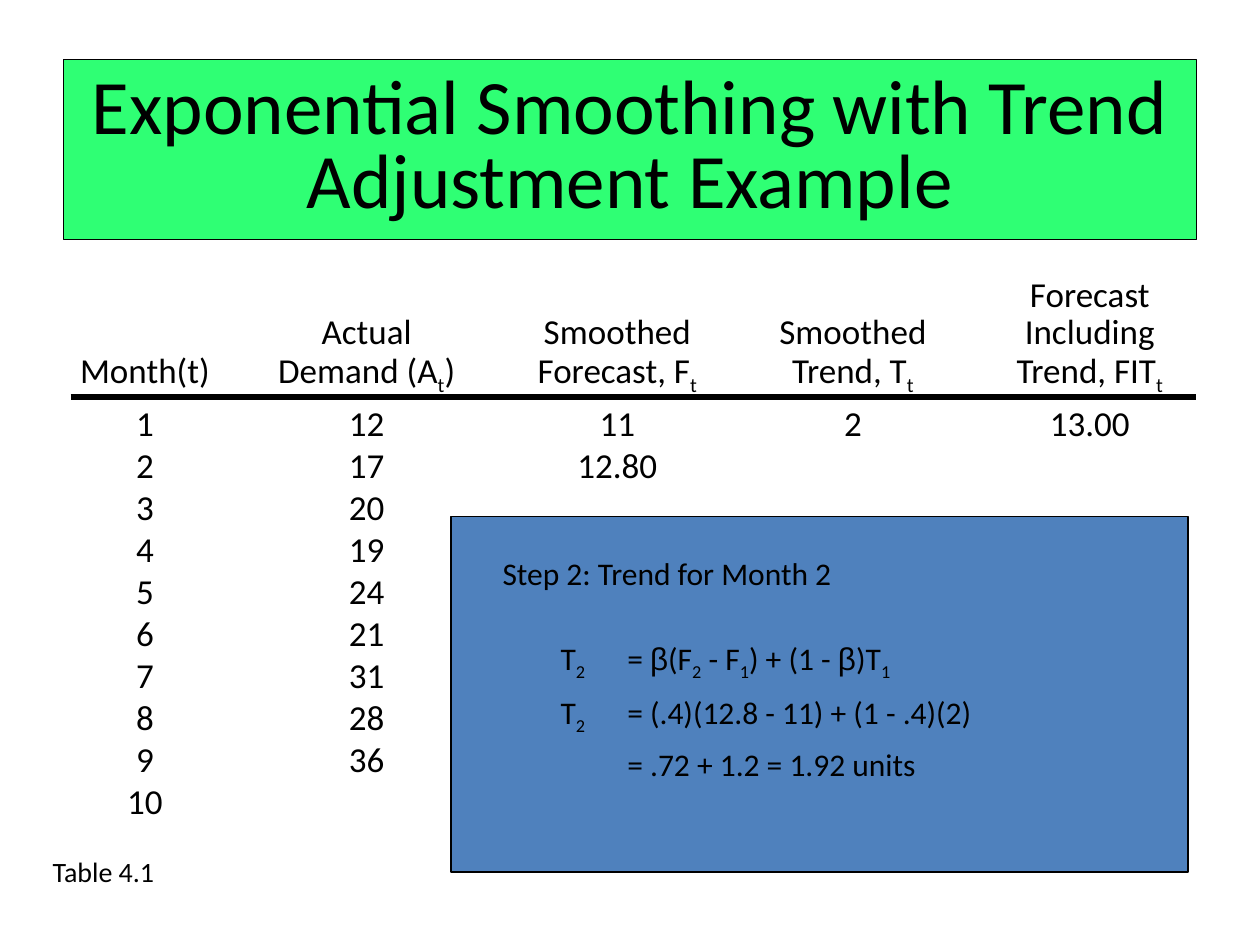
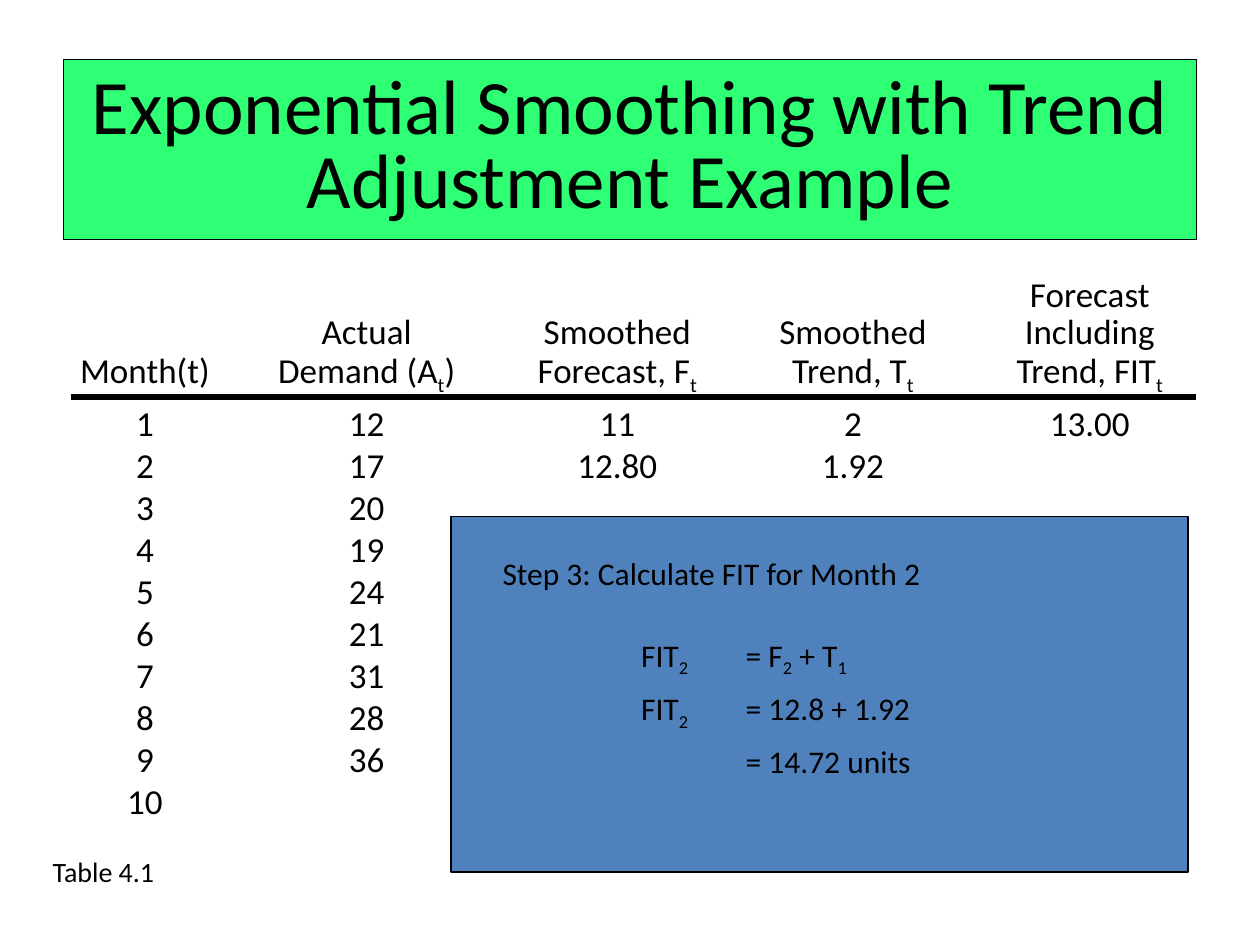
from dataclasses import dataclass
from itertools import groupby

from lxml import etree
from pptx import Presentation
from pptx.dml.color import RGBColor
from pptx.enum.shapes import MSO_CONNECTOR, MSO_SHAPE
from pptx.enum.text import MSO_ANCHOR, PP_ALIGN
from pptx.oxml.ns import qn
from pptx.util import Emu, Inches, Pt

RECT = MSO_SHAPE.RECTANGLE
STRAIGHT = MSO_CONNECTOR.STRAIGHT
LEFT, CENTER = PP_ALIGN.LEFT, PP_ALIGN.CENTER
MIDDLE, BOTTOM = MSO_ANCHOR.MIDDLE, MSO_ANCHOR.BOTTOM

BLACK = RGBColor(0x00, 0x00, 0x00)
WHITE = RGBColor(0xFF, 0xFF, 0xFF)
GREEN = RGBColor(0x2F, 0xFF, 0x74)
BLUE = RGBColor(0x4F, 0x81, 0xBD)
FONT, GREEK_FONT = "Calibri", "Arial"

WIDTH, HEIGHT = Inches(10), Inches(7.5)
COLS, ROWS = 100, 75

TITLE = "Exponential Smoothing with Trend Adjustment Example"
HEADINGS = ["Month(t)", "Actual\nDemand (A_t)", "Smoothed\nForecast, F_t",
            "Smoothed\nTrend, T_t", "Forecast\nIncluding\nTrend, FIT_t"]
DEMAND = ["12", "17", "20", "19", "24", "21", "31", "28", "36", ""]
COLUMN_SPANS = [11.8, 23.4, 16.4, 21, 16.6]
HEADING_SPAN, MONTH_SPAN = 10, 10 / 3
PLAIN_GAP, SUBSCRIPT_GAP = 1, 0.9


def x(cols: float) -> Emu:
    return Emu(round(WIDTH * cols / COLS))


def y(rows: float) -> Emu:
    return Emu(round(HEIGHT * rows / ROWS))


@dataclass(frozen=True)
class Box:
    left: float
    top: float
    width: float
    height: float

    def emu(self) -> tuple[Emu, Emu, Emu, Emu]:
        return x(self.left), y(self.top), x(self.width), y(self.height)


@dataclass(frozen=True)
class Step:
    heading: str
    equations: str
    equations_box: Box
    tab: float
    trend: str


TITLE_BOX = Box(5.05, 4.7, 89.9, 14.3)
TABLE_BOX = Box(5.6, 22, sum(COLUMN_SPANS), HEADING_SPAN + 10 * MONTH_SPAN)
PANEL_BOX = Box(35.8, 41, 58.5, 28.2)
STEP_BOX = Box(38.9, 43.5, 53.8, 5)
CAPTION_BOX = Box(3.2, 67.3, 11.5, 3.7)

STEPS = [
    Step("Step 2: Trend for Month 2",
         "T_2 \t= β(F_2 - F_1) + (1 - β)T_1\n"
         "T_2 \t= (.4)(12.8 - 11) + (1 - .4)(2)\n"
         "\t= .72 + 1.2 = 1.92 units",
         Box(43.5, 49.4, 48.2, 16), 5.3, ""),
    Step("Step 3: Calculate FIT for Month 2",
         "FIT_2 \t= F_2 + T_1\nFIT_2 \t= 12.8 + 1.92\n\t= 14.72 units",
         Box(49.9, 49.1, 30.4, 16), 8.3, "1.92"),
]


def write(tf, text: str, size: float, align=LEFT, spacing: float = 1,
          tab: float = 0) -> None:
    for i, line in enumerate(text.split("\n")):
        p = tf.add_paragraph() if i else tf.paragraphs[0]
        p.alignment, p.line_spacing = align, spacing
        if tab:
            tabs = etree.SubElement(p._p.get_or_add_pPr(), qn("a:tabLst"))
            etree.SubElement(tabs, qn("a:tab"), pos=str(x(tab)), algn="l")
        marked = [(c, line[k - 1:k] == "_", c == "β")
                  for k, c in enumerate(line) if c != "_"]
        for (lowered, greek), chars in groupby(marked, lambda m: m[1:]):
            r = p.add_run()
            r.text = "".join(c[0] for c in chars)
            r.font.name = GREEK_FONT if greek else FONT
            r.font.size, r.font.bold = Pt(size), False
            r.font.color.rgb = BLACK
            if lowered:
                r._r.get_or_add_rPr().set("baseline", "-25000")


def add_text(slide, box: Box, text: str, size: float, **fmt) -> None:
    tf = slide.shapes.add_textbox(*box.emu()).text_frame
    tf.word_wrap = True
    write(tf, text, size, **fmt)


def add_panel(slide, box: Box, color: RGBColor):
    sp = slide.shapes.add_shape(RECT, *box.emu())
    sp.shadow.inherit = False
    sp.fill.solid()
    sp.fill.fore_color.rgb = color
    sp.line.color.rgb, sp.line.width = BLACK, Pt(0.75)
    return sp


def add_title(slide) -> None:
    tf = add_panel(slide, TITLE_BOX, GREEN).text_frame
    tf.word_wrap, tf.vertical_anchor = True, MIDDLE
    write(tf, TITLE, 44, align=CENTER, spacing=0.8)


def add_forecast_table(slide, trend: str) -> None:
    months = [[str(n), demand, "", "", ""] for n, demand in enumerate(DEMAND, 1)]
    months[0][2:] = ["11", "2", "13.00"]
    months[1][2:4] = ["12.80", trend]
    rows = [HEADINGS] + months
    table = slide.shapes.add_table(len(rows), len(HEADINGS),
                                   *TABLE_BOX.emu()).table
    table.first_row = table.horz_banding = False
    for column, span in zip(table.columns, COLUMN_SPANS):
        column.width = x(span)
    for i, values in enumerate(rows):
        table.rows[i].height = y(MONTH_SPAN if i else HEADING_SPAN)
        for j, value in enumerate(values):
            cell = table.cell(i, j)
            cell.fill.solid()
            cell.fill.fore_color.rgb = WHITE
            cell.margin_left = cell.margin_right = 0
            cell.margin_top = cell.margin_bottom = 0
            cell.vertical_anchor = MIDDLE if i else BOTTOM
            if not i:
                cell.margin_bottom = y(SUBSCRIPT_GAP if "_" in value else PLAIN_GAP)
            if value:
                write(cell.text_frame, value, 20, align=CENTER,
                      spacing=0.95 if i else 0.85)


def add_heading_rule(slide) -> None:
    line = slide.shapes.add_connector(STRAIGHT, x(5.6), y(31.5), x(94.9), y(31.5))
    line.line.color.rgb, line.line.width = BLACK, Pt(3)
    etree.SubElement(line._element.spPr, qn("a:effectLst"))


def add_step_slide(prs, step: Step) -> None:
    slide = prs.slides.add_slide(prs.slide_layouts[6])
    add_title(slide)
    add_forecast_table(slide, step.trend)
    add_heading_rule(slide)
    add_text(slide, CAPTION_BOX, "Table 4.1", 16)
    add_panel(slide, PANEL_BOX, BLUE)
    add_text(slide, step.equations_box, step.equations, 18, spacing=1.25,
             tab=step.tab)
    add_text(slide, STEP_BOX, step.heading, 18)


def main() -> None:
    prs = Presentation()
    prs.slide_width, prs.slide_height = WIDTH, HEIGHT
    for step in STEPS:
        add_step_slide(prs, step)
    prs.save("out.pptx")


if __name__ == "__main__":
    main()
